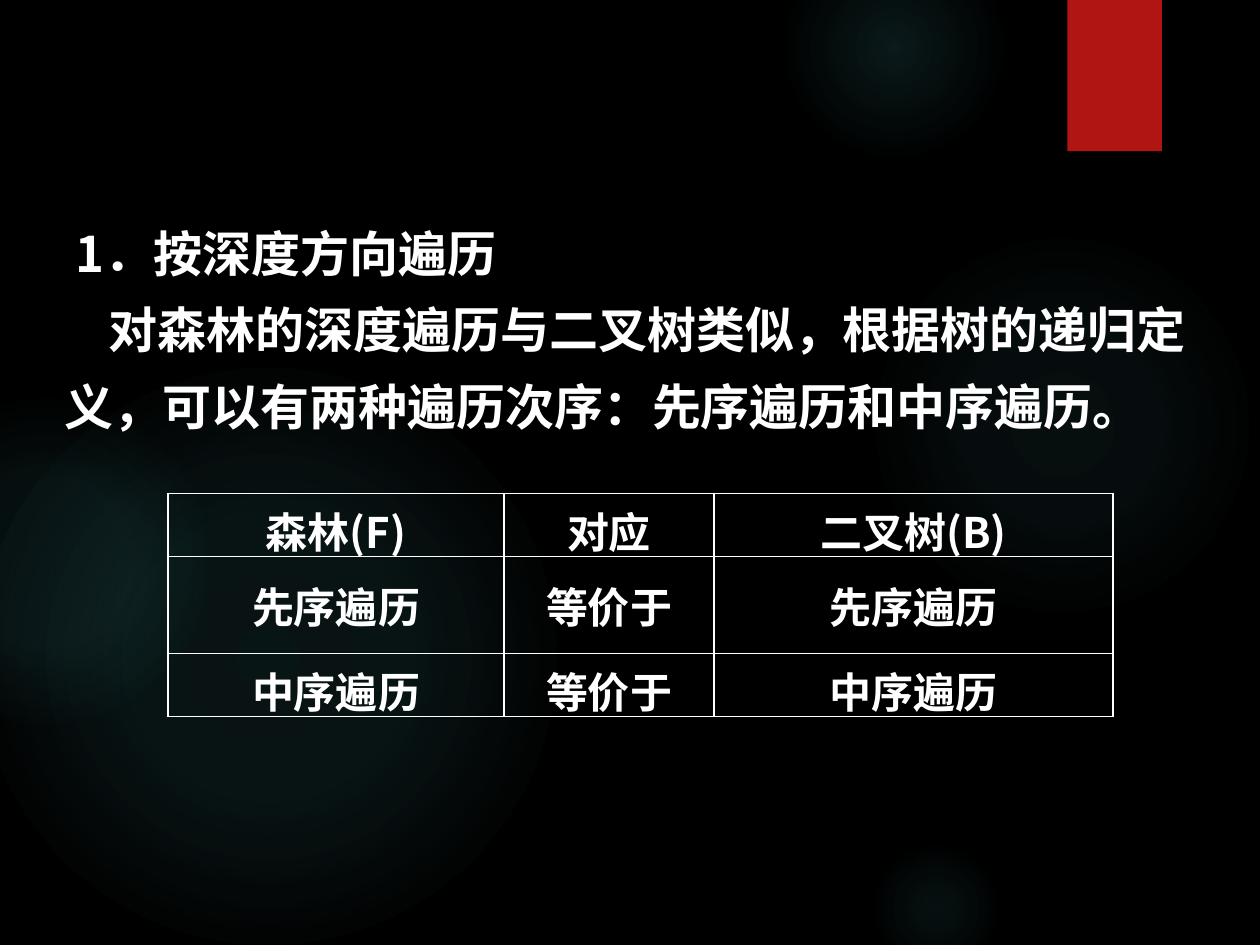
"""Build a slide on depth-first traversal of forests, with a table of matching orders."""
import pptx
import pptx.util
import pptx.oxml
import pptx.oxml.ns
import pptx.dml.color
import pptx.enum.shapes
import pptx.enum.text
from lxml import etree

Pt = pptx.util.Pt
RGBColor = pptx.dml.color.RGBColor
qn = pptx.oxml.ns.qn
SHAPE = pptx.enum.shapes.MSO_SHAPE
ALIGN = pptx.enum.text.PP_ALIGN
MIDDLE = pptx.enum.text.MSO_ANCHOR.MIDDLE

BLACK = RGBColor(0x00, 0x00, 0x00)
WHITE = RGBColor(0xFF, 0xFF, 0xFF)
TEAL = RGBColor(0x50, 0xB9, 0xC1)
RED = RGBColor(0xB0, 0x15, 0x13)
FONT = "Noto Sans CJK SC"
SPACE = ' xmlns:a="http://schemas.openxmlformats.org/drawingml/2006/main"'


def write(para, text, size=24, align=ALIGN.LEFT, indent=0, lead=None):
    para.alignment = align
    para.line_spacing = lead
    if indent:
        para._p.get_or_add_pPr().set("indent", str(Pt(indent)))
    run = para.add_run()
    run.text = text
    run.font.name = FONT
    run.font.size = Pt(size)
    run.font.bold = True
    run.font.color.rgb = WHITE
    east = etree.SubElement(run._r.get_or_add_rPr(), qn("a:ea"))
    east.set("typeface", FONT)


deck = pptx.Presentation()
deck.slide_width, deck.slide_height = Pt(720), Pt(540)
slide = deck.slides.add_slide(deck.slide_layouts[6])
slide.background.fill.solid()
slide.background.fill.fore_color.rgb = BLACK

glows = [
    (496, 132, 222, (7, 6), 69),
    (448, -36, 126, (14, 7), 73),
    (496, 480, 78, (9, 5), 66),
    (-12, 210, 330, (11, 10), 75),
    (-66, 228, 186, (8, 8), 72),
]
for left, top, size, (core, ring), edge in glows:
    glow = slide.shapes.add_shape(SHAPE.OVAL, Pt(left), Pt(top), Pt(size), Pt(size))
    glow.shadow.inherit = False
    glow.line.fill.background()
    stops = "".join(
        f'<a:gs pos="{pos * 1000}"><a:srgbClr val="{TEAL}">'
        f'<a:alpha val="{alpha * 1000}"/></a:srgbClr></a:gs>'
        for pos, alpha in ((0, core), (36, ring), (edge, 0))
    )
    fill = pptx.oxml.parse_xml(
        f'<a:gradFill{SPACE} rotWithShape="1"><a:gsLst>{stops}</a:gsLst><a:path path="circle">'
        '<a:fillToRect l="50000" t="50000" r="50000" b="50000"/></a:path></a:gradFill>'
    )
    glow._element.spPr.find(qn("a:prstGeom")).addnext(fill)

flag = slide.shapes.add_shape(SHAPE.RECTANGLE, Pt(610), 0, Pt(54), Pt(86.4))
flag.shadow.inherit = False
flag.fill.solid()
flag.fill.fore_color.rgb = RED
flag.line.fill.background()
cast = pptx.oxml.parse_xml(
    f'<a:outerShdw{SPACE} blurRad="{Pt(3)}" dist="{Pt(2)}" dir="5400000" rotWithShape="0">'
    f'<a:srgbClr val="{BLACK}"><a:alpha val="45000"/></a:srgbClr></a:outerShdw>'
)
flag._element.spPr.find(qn("a:effectLst")).append(cast)

box = slide.shapes.add_textbox(Pt(30), Pt(114), Pt(672), Pt(138))
frame = box.text_frame
frame.word_wrap = True
write(frame.paragraphs[0], "1．按深度方向遍历", size=28, indent=6.3, lead=1.3)
write(
    frame.add_paragraph(),
    "对森林的深度遍历与二叉树类似，根据树的递归定义，可以有两种遍历次序：先序遍历和中序遍历。",
    size=28, indent=25.2, lead=1.3,
)

rows = [
    ("森林(F)", "对应", "二叉树(B)"),
    ("先序遍历", "等价于", "先序遍历"),
    ("中序遍历", "等价于", "中序遍历"),
]
grid = slide.shapes.add_table(3, 3, Pt(96), Pt(282), Pt(540), Pt(127.5)).table
grid.first_row = grid.horz_banding = False
for col, width in zip(grid.columns, (192, 120, 228)):
    col.width = Pt(width)
for row, high, words in zip(grid.rows, (36, 55.5, 36), rows):
    row.height = Pt(high)
    for cell, word in zip(row.cells, words):
        cell.vertical_anchor = MIDDLE
        write(cell.text_frame.paragraphs[0], word, align=ALIGN.CENTER)
        props = cell._tc.get_or_add_tcPr()
        for side in ("lnL", "lnR", "lnT", "lnB"):
            props.append(pptx.oxml.parse_xml(
                f'<a:{side}{SPACE} w="{Pt(1)}"><a:solidFill>'
                f'<a:srgbClr val="{WHITE}"/></a:solidFill></a:{side}>'
            ))
        cell.fill.background()

deck.save("out.pptx")
